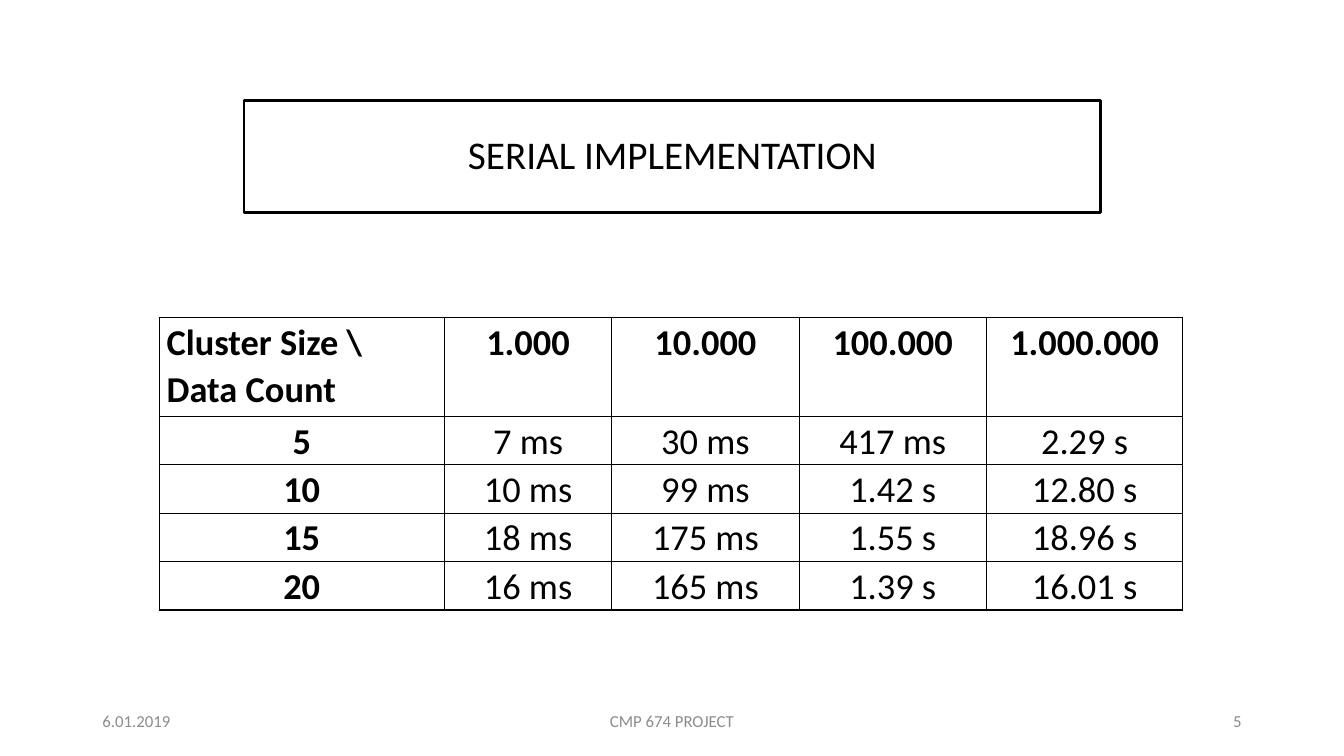
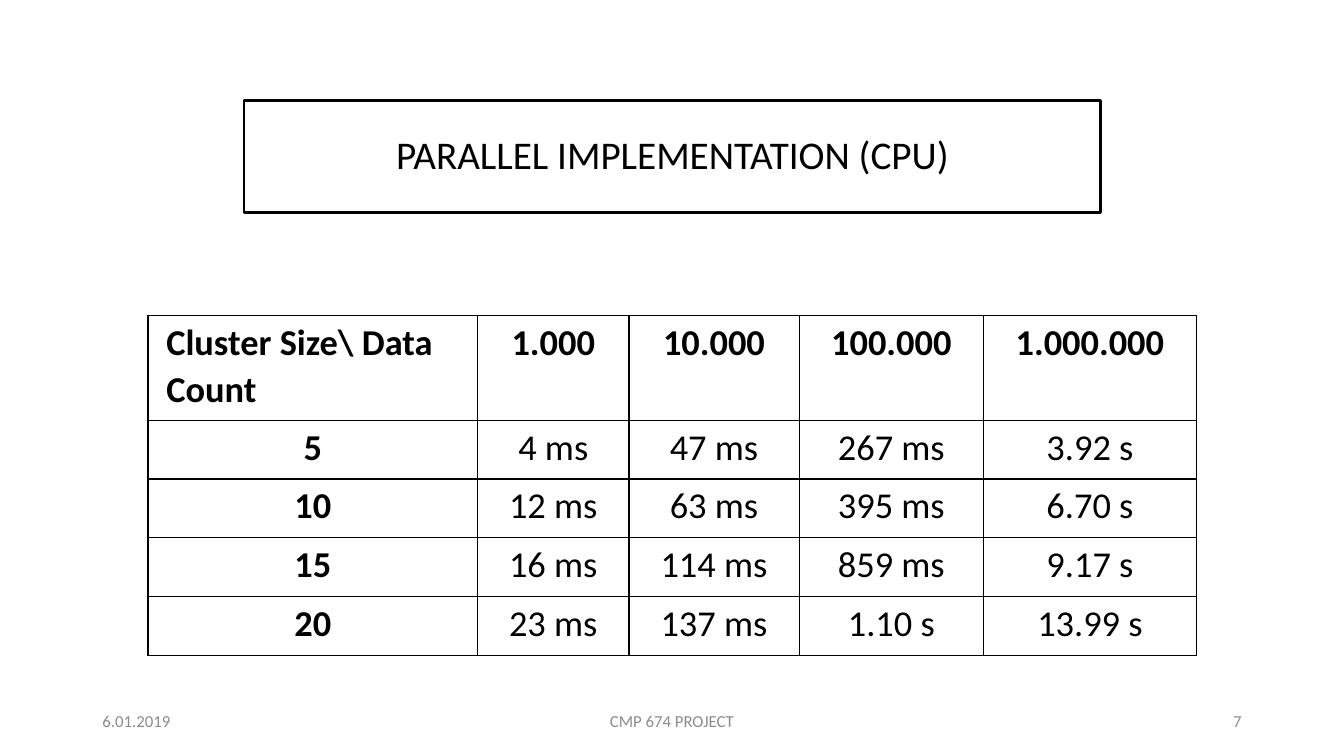
from dataclasses import dataclass

import lxml.etree
import pptx
import pptx.dml.color
import pptx.enum.text
import pptx.oxml.ns
import pptx.presentation
import pptx.slide
import pptx.table
import pptx.text.text
import pptx.util

Cm = pptx.util.Cm
Align = pptx.enum.text.PP_ALIGN
Anchor = pptx.enum.text.MSO_ANCHOR
Color = pptx.dml.color.RGBColor
qn = pptx.oxml.ns.qn

# Shared look
BLACK = Color(0x00, 0x00, 0x00)
WHITE = Color(0xFF, 0xFF, 0xFF)
GRAY = Color(0x8C, 0x8C, 0x8C)
FONT = "Calibri"
TITLE_ONLY = 5


@dataclass(frozen=True)
class Footer:
    left: float
    width: float
    align: Align
    text: str


@dataclass(frozen=True)
class Page:
    title: str
    number: int
    left: float
    top: float
    widths: tuple[float, ...]
    head: float
    row: float
    side: float
    above: float
    corner: str
    times: tuple[tuple[str, ...], ...]


# Lengths are in centimetres
COUNTS = ("1.000", "10.000", "100.000", "1.000.000")
SIZES = ("5", "10", "15", "20")
PAGES = (
    Page(
        title="SERIAL IMPLEMENTATION", number=5,
        left=4.01, top=8, widths=(7.19, 4.22, 4.72, 4.72, 4.95),
        head=2.49, row=1.22, side=0.19, above=0,
        corner="Cluster Size \\ Data Count",
        times=(
            ("7 ms", "30 ms", "417 ms", "2.29 s"),
            ("10 ms", "99 ms", "1.42 s", "12.80 s"),
            ("18 ms", "175 ms", "1.55 s", "18.96 s"),
            ("16 ms", "165 ms", "1.39 s", "16.01 s"),
        ),
    ),
    Page(
        title="PARALLEL IMPLEMENTATION (CPU)", number=7,
        left=3.73, top=7.95, widths=(8.31, 3.81, 4.29, 4.65, 5.36),
        head=2.64, row=1.48, side=0.46, above=0.05,
        corner="Cluster Size\\ Data Count",
        times=(
            ("4 ms", "47 ms", "267 ms", "3.92 s"),
            ("12 ms", "63 ms", "395 ms", "6.70 s"),
            ("16 ms", "114 ms", "859 ms", "9.17 s"),
            ("23 ms", "137 ms", "1.10 s", "13.99 s"),
        ),
    ),
)


def write(frame: pptx.text.text.TextFrame, text: str, *, size: float,
          color: Color = BLACK, bold: bool = False,
          align: Align = Align.CENTER, space: float = 1.0) -> None:
    """Fill a text frame with one formatted paragraph."""
    frame.word_wrap = True
    par = frame.paragraphs[0]
    par.alignment = align
    par.line_spacing = space
    run = par.add_run()
    run.text = text
    run.font.name = FONT
    run.font.size = pptx.util.Pt(size)
    run.font.bold = bold
    run.font.color.rgb = color


def add_title(slide: pptx.slide.Slide, text: str) -> None:
    title = slide.shapes.title
    title.left, title.top = Cm(6.15), Cm(2.54)
    title.width, title.height = Cm(21.59), Cm(2.82)
    title.fill.solid()
    title.fill.fore_color.rgb = WHITE
    # Nearly clear fill
    tint = title.fill._xPr.find(".//" + qn("a:srgbClr"))
    lxml.etree.SubElement(tint, qn("a:alpha"), val="10000")
    title.line.color.rgb = BLACK
    title.line.width = pptx.util.Pt(2)
    title.text_frame.vertical_anchor = Anchor.MIDDLE
    write(title.text_frame, text, size=28, space=0.9)


def add_edge(cell: pptx.table._Cell) -> None:
    """Draw a thin black line on all four sides of a cell."""
    props = cell._tc.get_or_add_tcPr()
    for side in ("lnL", "lnR", "lnT", "lnB"):
        line = lxml.etree.SubElement(
            props, qn("a:" + side), w=str(pptx.util.Pt(1)))
        fill = lxml.etree.SubElement(line, qn("a:solidFill"))
        lxml.etree.SubElement(fill, qn("a:srgbClr"), val=str(BLACK))


def add_grid(slide: pptx.slide.Slide, page: Page) -> None:
    rows = [(page.corner, *COUNTS)]
    rows += [(size, *times) for size, times in zip(SIZES, page.times)]
    high = [page.head] + [page.row] * len(SIZES)
    table = slide.shapes.add_table(
        len(rows), len(page.widths), Cm(page.left), Cm(page.top),
        Cm(sum(page.widths)), Cm(sum(high))).table
    table.first_row = table.horz_banding = False
    for col, width in zip(table.columns, page.widths):
        col.width = Cm(width)
    for r, texts in enumerate(rows):
        table.rows[r].height = Cm(high[r])
        for c, text in enumerate(texts):
            cell = table.cell(r, c)
            cell.margin_left = cell.margin_right = Cm(page.side)
            cell.margin_top, cell.margin_bottom = Cm(page.above), 0
            add_edge(cell)
            cell.fill.solid()
            cell.fill.fore_color.rgb = WHITE
            write(cell.text_frame, text, size=26, bold=r == 0 or c == 0,
                  align=Align.LEFT if r == c == 0 else Align.CENTER,
                  space=1.07)


def add_foot(slide: pptx.slide.Slide, number: int) -> None:
    for part in (
        Footer(2.33, 7.62, Align.LEFT, "6.01.2019"),
        Footer(11.22, 11.43, Align.CENTER, "CMP 674 PROJECT"),
        Footer(23.92, 7.62, Align.RIGHT, str(number)),
    ):
        box = slide.shapes.add_textbox(
            Cm(part.left), Cm(17.65), Cm(part.width), Cm(1.01))
        box.text_frame.vertical_anchor = Anchor.MIDDLE
        write(box.text_frame, part.text, size=12, color=GRAY,
              align=part.align)


def add_page(deck: pptx.presentation.Presentation, page: Page) -> None:
    slide = deck.slides.add_slide(deck.slide_layouts[TITLE_ONLY])
    add_title(slide, page.title)
    add_grid(slide, page)
    add_foot(slide, page.number)


def main() -> None:
    deck = pptx.Presentation()
    deck.slide_width, deck.slide_height = Cm(33.87), Cm(19.05)
    for page in PAGES:
        add_page(deck, page)
    deck.save("out.pptx")


if __name__ == "__main__":
    main()
